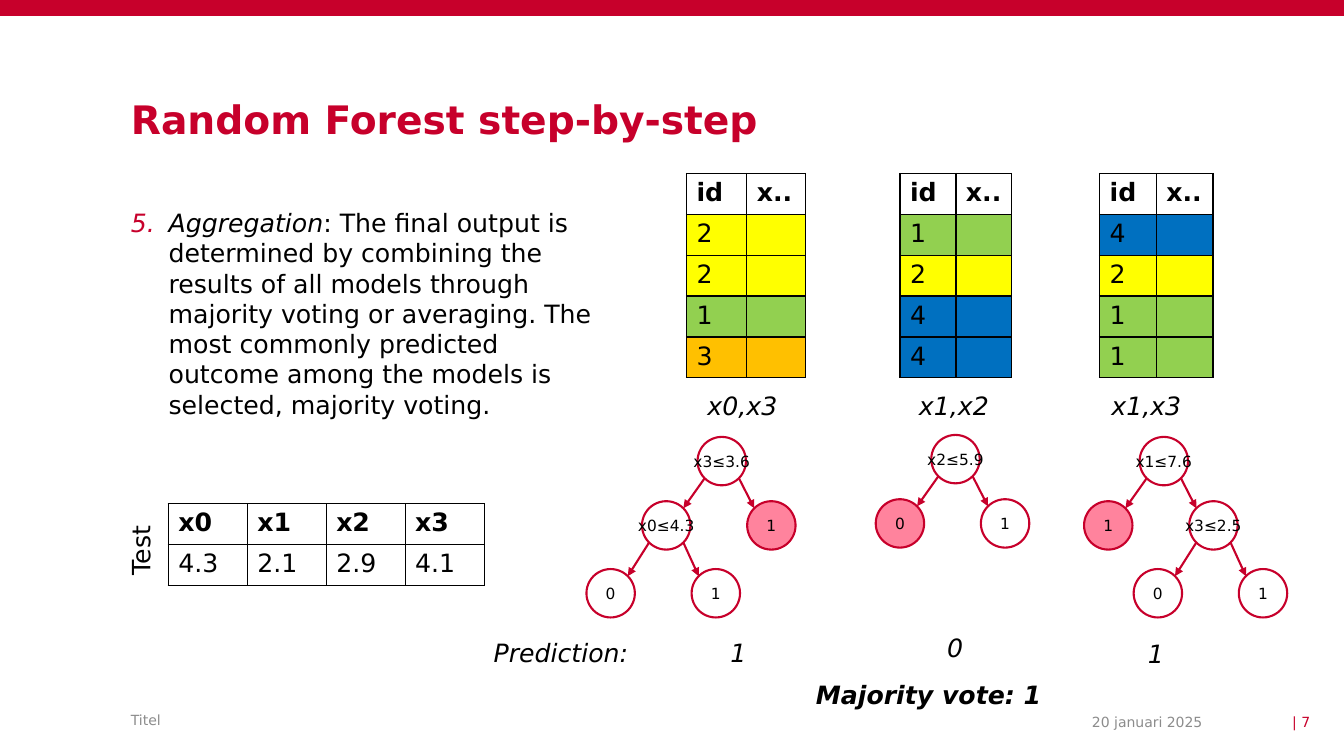
from dataclasses import dataclass
from typing import Optional

from lxml.etree import SubElement
from pptx import Presentation
from pptx.dml.color import RGBColor
from pptx.enum.shapes import MSO_CONNECTOR, MSO_SHAPE
from pptx.enum.text import MSO_ANCHOR as ANCHOR, MSO_AUTO_SIZE as AUTO, PP_ALIGN as ALIGN
from pptx.oxml.ns import qn
from pptx.util import Cm, Pt

FONT = "DejaVu Sans"
COLORS = {
    "red": "C7002B", "pink": "FF839D", "black": "000000", "grey": "8C8C8C",
    "white": "FFFFFF", "yellow": "FFFF00", "green": "92D050",
    "blue": "0070C0", "orange": "FFC000",
}
ID_COLORS = {"id": "white", "1": "green", "2": "yellow", "3": "orange", "4": "blue"}

# Tree geometry in cm
NODE = 1.22
INSET = NODE * (1 - 0.5 ** 0.5) / 2
LEFT_STEP, RIGHT_STEP = -1.4, 1.25
LEVEL_STEPS = (1.62, 1.71)


@dataclass
class Node:
    label: str
    left: Optional["Node"] = None
    right: Optional["Node"] = None
    voted: bool = False


def rgb(name):
    return RGBColor.from_string(COLORS[name])


def add_run(p, text, size=18, color="black", **fmt):
    r = p.add_run()
    r.text = text
    for key, value in {"name": FONT, "size": Pt(size), **fmt}.items():
        setattr(r.font, key, value)
    r.font.color.rgb = rgb(color)


def format_frame(tf, wrap=True, anchor=ANCHOR.TOP, auto=AUTO.NONE, margins=None):
    for key, value in {"word_wrap": wrap, "vertical_anchor": anchor, "auto_size": auto}.items():
        setattr(tf, key, value)
    if margins is not None:
        for side in ("left", "top", "right", "bottom"):
            setattr(tf, f"margin_{side}", Cm(margins))


def add_text(s, box, text, align=ALIGN.LEFT, frame=None, **fmt):
    sp = s.shapes.add_textbox(*map(Cm, box))
    format_frame(sp.text_frame, **(frame or {}))
    p = sp.text_frame.paragraphs[0]
    p.alignment = align
    add_run(p, text, **fmt)
    return sp


def set_borders(cell):
    tcPr = cell._tc.get_or_add_tcPr()
    for i, side in enumerate(("lnL", "lnR", "lnT", "lnB")):
        ln = tcPr.makeelement(qn(f"a:{side}"), {"w": str(Pt(1))})
        fill = SubElement(ln, qn("a:solidFill"))
        SubElement(fill, qn("a:srgbClr"), val=COLORS["black"])
        tcPr.insert(i, ln)


def add_table(s, x, y, widths, rows, fills=None):
    row_height = 1.03
    frame = s.shapes.add_table(len(rows), len(widths), Cm(x), Cm(y),
                               Cm(sum(widths)), Cm(row_height * len(rows)))
    table = frame.table
    table.first_row = table.horz_banding = False
    for column, width in zip(table.columns, widths):
        column.width = Cm(width)
    for i, values in enumerate(rows):
        table.rows[i].height = Cm(row_height)
        for j, value in enumerate(values):
            cell = table.cell(i, j)
            if fills:
                cell.fill.solid()
                cell.fill.fore_color.rgb = rgb(fills[values[0]])
            else:
                cell.fill.background()
            set_borders(cell)
            if value:
                add_run(cell.text_frame.paragraphs[0], value, bold=i == 0)


def add_arrow(s, x1, y1, x2, y2):
    line = s.shapes.add_connector(MSO_CONNECTOR.STRAIGHT, *map(Cm, (x1, y1, x2, y2)))
    line.line.color.rgb = rgb("red")
    line.line.width = Pt(1.5)
    SubElement(line.line._get_or_add_ln(), qn("a:tailEnd"), type="triangle")
    SubElement(line._element.spPr, qn("a:effectLst"))


def add_node(s, x, y, node):
    sp = s.shapes.add_shape(MSO_SHAPE.FLOWCHART_CONNECTOR, *map(Cm, (x, y, NODE, NODE)))
    sp.shadow.inherit = False
    if node.voted:
        sp.fill.solid()
        sp.fill.fore_color.rgb = rgb("pink")
    else:
        sp.fill.background()
    sp.line.color.rgb = rgb("red")
    sp.line.width = Pt(1.5)
    format_frame(sp.text_frame, wrap=False, anchor=ANCHOR.MIDDLE, margins=0)
    p = sp.text_frame.paragraphs[0]
    p.alignment = ALIGN.CENTER
    add_run(p, node.label, size=11)


def add_tree(s, x, y, node, level=0):
    add_node(s, x, y, node)
    near, far = INSET, NODE - INSET
    for child, step, start, end in ((node.left, LEFT_STEP, near, far),
                                    (node.right, RIGHT_STEP, far, near)):
        if child:
            child_x, child_y = x + step, y + LEVEL_STEPS[level]
            add_tree(s, child_x, child_y, child, level + 1)
            add_arrow(s, x + start, y + far, child_x + end, child_y + near)


def add_title(s, text):
    title = s.shapes.title
    for key, value in {"left": 3.3, "top": 2.54, "width": 21.49, "height": 1}.items():
        setattr(title, key, Cm(value))
    format_frame(title.text_frame, margins=0)
    p = title.text_frame.paragraphs[0]
    p.alignment = ALIGN.LEFT
    p.line_spacing = 0.9
    add_run(p, text, size=28, color="red", bold=True)


def add_step(s):
    sp = add_text(s, (3.3, 5.23, 11.61, 11.81), "Aggregation", italic=True,
                  frame={"margins": 0})
    p = sp.text_frame.paragraphs[0]
    add_run(p, ": The final output is determined by combining the results of all models "
               "through majority voting or averaging. The most commonly predicted outcome "
               "among the models is selected, majority voting.")
    pPr = p._p.get_or_add_pPr()
    pPr.set("marL", str(Cm(0.95)))
    pPr.set("indent", str(-Cm(0.95)))
    color = SubElement(pPr, qn("a:buClr"))
    SubElement(color, qn("a:srgbClr"), val=COLORS["red"])
    SubElement(pPr, qn("a:buFont"), typeface=FONT)
    SubElement(pPr, qn("a:buAutoNum"), type="arabicPeriod", startAt="5")


def main():
    prs = Presentation()
    prs.slide_width, prs.slide_height = Cm(33.87), Cm(19.05)
    s = prs.slides.add_slide(prs.slide_layouts[5])

    # Top band, title and explanation
    band = s.shapes.add_shape(MSO_SHAPE.RECTANGLE, 0, 0, prs.slide_width, Cm(0.4))
    band.shadow.inherit = False
    band.fill.solid()
    band.fill.fore_color.rgb = rgb("red")
    band.line.fill.background()
    add_title(s, "Random Forest step-by-step")
    add_step(s)

    # Models: sample table, features, decision tree, prediction
    models = (
        (17.3, (1.52, 1.47), "2213", "x0,x3", 17.58, (17.58, 11.01),
         Node("x3≤3.6", Node("x0≤4.3", Node("0"), Node("1")), Node("1", voted=True)),
         "1", (18.16, 15.93)),
        (22.68, (1.41, 1.41), "1244", "x1,x2", 22.91, (23.47, 10.96),
         Node("x2≤5.9", Node("0", voted=True), Node("1")),
         "0", (23.62, 15.82)),
        (27.71, (1.43, 1.43), "4211", "x1,x3", 27.76, (28.72, 11.01),
         Node("x1≤7.6", Node("1", voted=True), Node("x3≤2.5", Node("0"), Node("1"))),
         "1", (28.68, 15.95)),
    )
    unwrapped = {"wrap": False, "auto": AUTO.SHAPE_TO_FIT_TEXT}
    for x, widths, ids, features, features_x, root, tree, vote, vote_at in models:
        rows = [("id", "x..")] + [(i, "") for i in ids]
        add_table(s, x, 4.37, widths, rows, ID_COLORS)
        add_text(s, (features_x, 9.7, 2.31, 1.02), features, frame=unwrapped, italic=True)
        add_tree(s, *root, tree)
        add_text(s, (*vote_at, 0.91, 1.02), vote, italic=True)

    # Test record
    add_table(s, 4.24, 12.69, (1.99,) * 4,
              (("x0", "x1", "x2", "x3"), ("4.3", "2.1", "2.9", "4.1")))
    add_text(s, (2.64, 13.34, 1.8, 1.02), "Test", frame=unwrapped).rotation = 270

    # Outcome
    add_text(s, (12.19, 15.93, 4.17, 1.02), "Prediction:", italic=True)
    add_text(s, (20.09, 16.99, 6.55, 1.02), " Majority vote: 1", bold=True, italic=True)

    # Footer
    footer = {"margins": 0, "anchor": ANCHOR.MIDDLE}
    for box, text, align, color in (
        ((3.3, 17.75, 16.87, 0.79), "Titel", ALIGN.LEFT, "grey"),
        ((22.68, 17.88, 7.62, 0.61), "20 januari 2025", ALIGN.RIGHT, "grey"),
        ((30.76, 17.88, 2.26, 0.61), "| 7", ALIGN.RIGHT, "red"),
    ):
        add_text(s, box, text, align, footer, size=10, color=color)

    prs.save("out.pptx")


if __name__ == "__main__":
    main()
